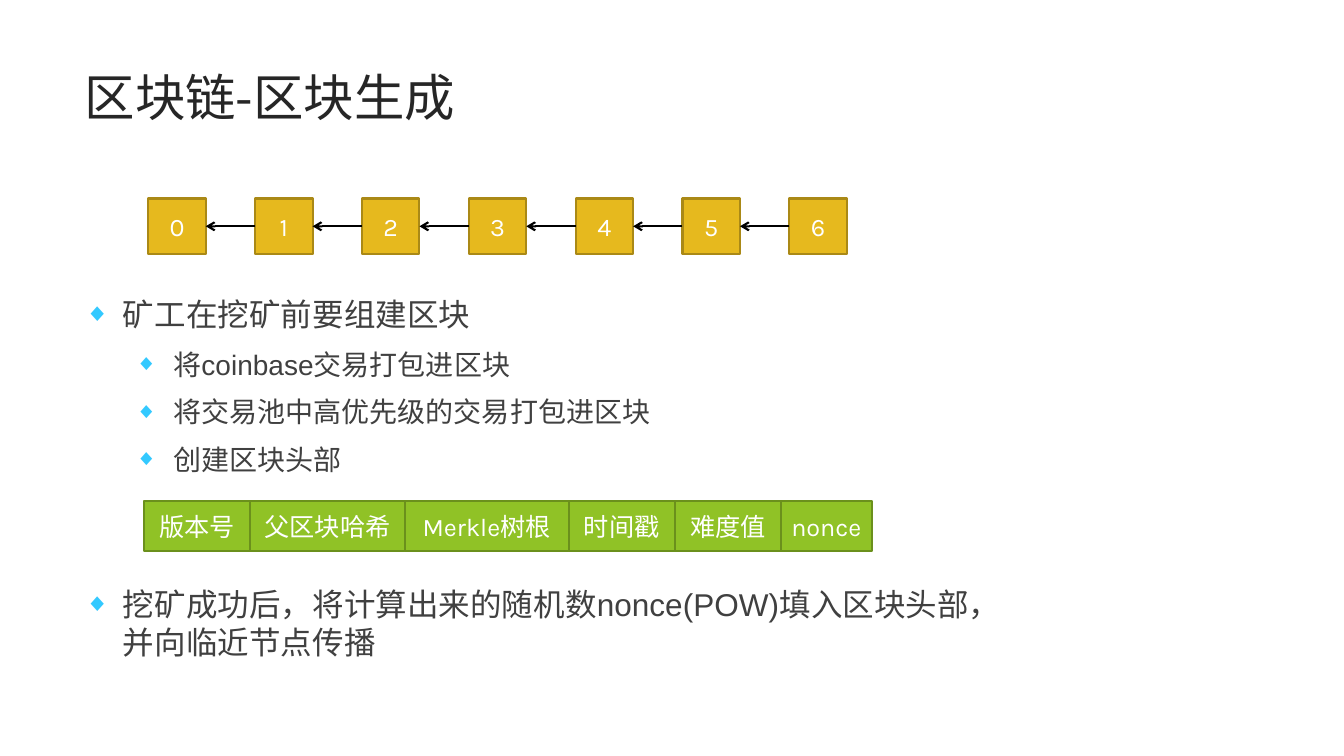
from dataclasses import dataclass
from itertools import accumulate, pairwise

from lxml import etree
from pptx import Presentation
from pptx.dml.color import RGBColor
from pptx.enum.shapes import MSO_CONNECTOR, MSO_SHAPE
from pptx.enum.text import MSO_ANCHOR, MSO_AUTO_SIZE, PP_ALIGN
from pptx.oxml.ns import qn
from pptx.util import Inches, Pt

RECTANGLE = MSO_SHAPE.RECTANGLE
STRAIGHT = MSO_CONNECTOR.STRAIGHT
TOP, MIDDLE = MSO_ANCHOR.TOP, MSO_ANCHOR.MIDDLE
LEFT, CENTER = PP_ALIGN.LEFT, PP_ALIGN.CENTER
NO_FIT = MSO_AUTO_SIZE.NONE
LEFT_SIDE, RIGHT_SIDE = 1, 3


@dataclass(frozen=True)
class Theme:
    title: str = "262626"
    body: str = "404040"
    bullet: str = "33C9FF"
    white: str = "FFFFFF"
    arrow: str = "000000"
    gold: tuple = ("E6B91E", "AA8916")
    green: tuple = ("90C226", "6B901C")
    title_size: float = 36
    list_sizes: tuple = (22.5, 20)
    list_leading: tuple = (27, 24)
    box_size: float = 18
    line_width: float = 1.5
    cjk_font: str = "Noto Sans CJK JP"
    body_font: str = "Arial"
    box_font: str = "Karla"


class SlideBuilder:
    """Places elements on a grid of 100 columns by 100 rows."""

    def __init__(self, deck, theme):
        self.theme = theme
        self.column = deck.slide_width / 100
        self.row = deck.slide_height / 100
        self.page = deck.slides.add_slide(deck.slide_layouts[1])

    def area(self, left, top, width, height):
        return {"left": round(left * self.column), "top": round(top * self.row),
                "width": round(width * self.column), "height": round(height * self.row)}

    @staticmethod
    def apply(target, formats):
        for name, value in formats.items():
            setattr(target, name, value)

    def add_text(self, para, text, size, font, color):
        span = para.add_run()
        span.text = text
        self.apply(span.font, {"size": Pt(size), "name": font, "bold": False})
        span.font.color.rgb = RGBColor.from_string(color)
        east_asian = etree.SubElement(span.font._element, qn("a:ea"))
        east_asian.set("typeface", self.theme.cjk_font)

    def placeholder(self, index, area):
        holder = self.page.placeholders[index]
        self.apply(holder, self.area(*area))
        self.apply(holder.text_frame, {"word_wrap": True, "auto_size": NO_FIT,
                                       "vertical_anchor": TOP})
        return holder.text_frame

    def title(self, text, area):
        para = self.placeholder(0, area).paragraphs[0]
        self.apply(para, {"alignment": LEFT, "line_spacing": 0.9})
        self.add_text(para, text, self.theme.title_size, self.theme.cjk_font, self.theme.title)

    def bullets(self, items, area):
        frame = self.placeholder(1, area)
        for number, (level, space, text) in enumerate(items):
            para = frame.add_paragraph() if number else frame.paragraphs[0]
            self.apply(para, {"level": level, "alignment": LEFT, "space_before": Pt(space),
                              "line_spacing": Pt(self.theme.list_leading[level])})
            self.diamond(para, level)
            self.add_text(para, text, self.theme.list_sizes[level],
                          self.theme.body_font, self.theme.body)

    def diamond(self, para, level):
        properties = para._p.get_or_add_pPr()
        properties.set("marL", str(Inches(0.38 + 0.5 * level)))
        properties.set("indent", str(Inches(-0.38)))
        color = etree.SubElement(properties, qn("a:buClr"))
        etree.SubElement(color, qn("a:srgbClr")).set("val", self.theme.bullet)
        for tag, name, value in (("a:buSzPct", "val", "80000"),
                                 ("a:buFont", "typeface", self.theme.body_font),
                                 ("a:buChar", "char", "◆")):
            etree.SubElement(properties, qn(tag)).set(name, value)

    def box(self, text, area, colors):
        shape = self.page.shapes.add_shape(RECTANGLE, **self.area(*area))
        fill, line = colors
        shape.shadow.inherit = False
        shape.fill.solid()
        shape.fill.fore_color.rgb = RGBColor.from_string(fill)
        shape.line.color.rgb = RGBColor.from_string(line)
        shape.line.width = Pt(self.theme.line_width)
        self.apply(shape.text_frame, {"word_wrap": False, "vertical_anchor": MIDDLE})
        para = shape.text_frame.paragraphs[0]
        para.alignment = CENTER
        self.add_text(para, text, self.theme.box_size, self.theme.box_font, self.theme.white)
        return shape

    def arrow(self, start, end):
        connector = self.page.shapes.add_connector(STRAIGHT, 0, 0, 0, 0)
        connector.begin_connect(start, LEFT_SIDE)
        connector.end_connect(end, RIGHT_SIDE)
        connector.line.color.rgb = RGBColor.from_string(self.theme.arrow)
        connector.line.width = Pt(self.theme.line_width)
        tail = etree.SubElement(connector.line._get_or_add_ln(), qn("a:tailEnd"))
        tail.set("type", "arrow")
        etree.SubElement(connector._element.spPr, qn("a:effectLst"))


def main():
    deck = Presentation()
    deck.slide_width, deck.slide_height = Inches(13.33), Inches(7.5)
    theme = Theme()
    builder = SlideBuilder(deck, theme)

    # Title and list: level, space before, text
    builder.title("区块链-区块生成", (5.55, 8.93, 70.52, 19.2))
    builder.bullets([
        (0, 0, "矿工在挖矿前要组建区块"),
        (1, 10, "将coinbase交易打包进区块"),
        (1, 10, "将交易池中高优先级的交易打包进区块"),
        (1, 10, "创建区块头部"),
        (0, 78, "挖矿成功后，将计算出来的随机数nonce(POW)填入区块头部，并向临近节点传播"),
    ], (5.55, 38.4, 70.52, 53.5))

    # Chain of blocks, each pointing to its parent
    blocks = [builder.box(str(number), (11.03 + 7.95 * number, 26.27, 4.28, 7.33), theme.gold)
              for number in range(7)]
    for parent, child in pairwise(blocks):
        builder.arrow(child, parent)

    # Fields of the block header, side by side
    fields = {"版本号": 7.9, "父区块哈希": 11.48, "Merkle树根": 12.2,
              "时间戳": 7.9, "难度值": 7.9, "nonce": 6.75}
    lefts = accumulate(fields.values(), initial=10.73)
    for left, (name, width) in zip(lefts, fields.items()):
        builder.box(name, (left, 66.27, width, 6.67), theme.green)

    deck.save("out.pptx")


if __name__ == "__main__":
    main()
